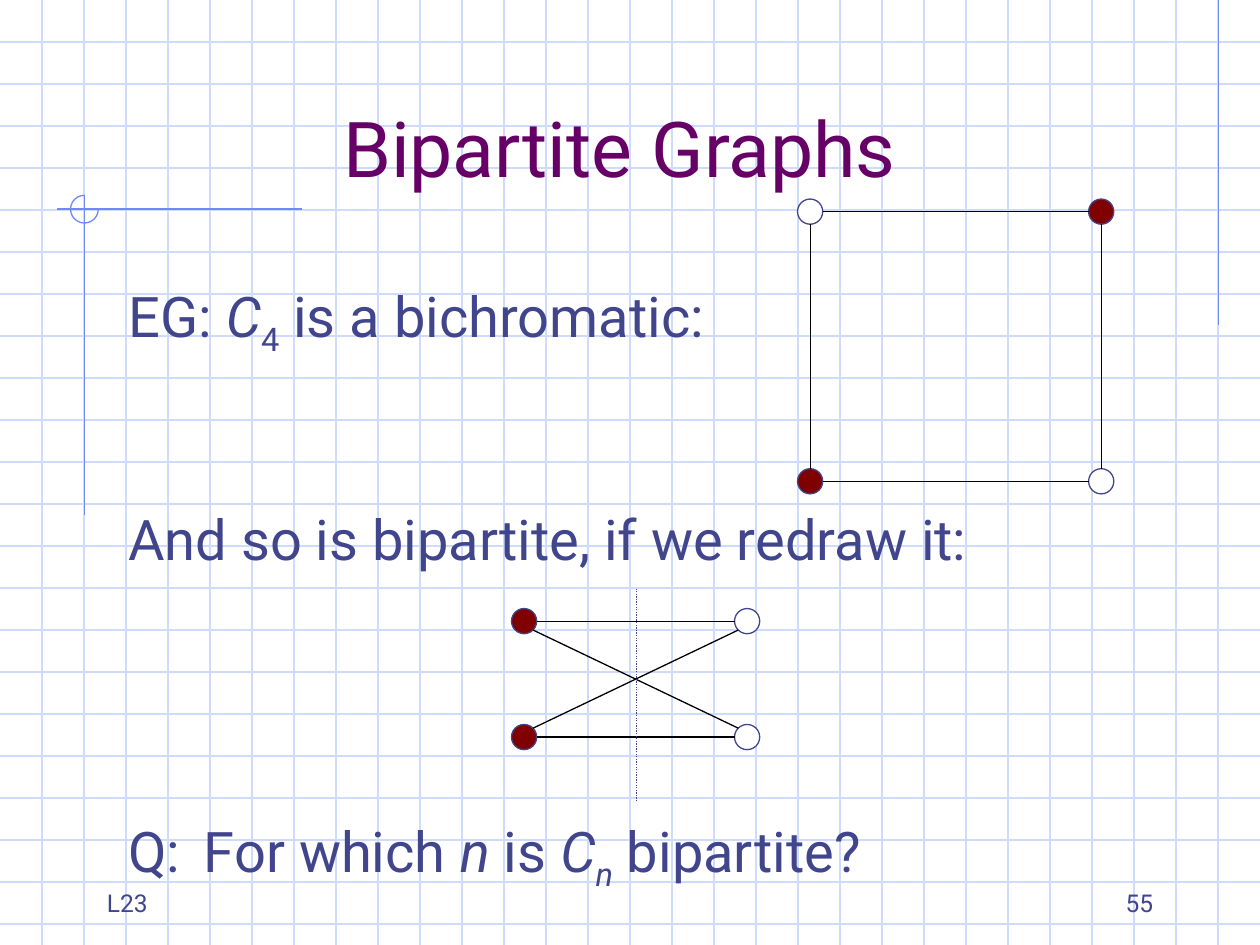
"""Build the "Bipartite Graphs" slide with its two drawings of the four-cycle."""
from dataclasses import dataclass
from math import hypot
from typing import NamedTuple, Optional

from lxml.etree import SubElement
from pptx import Presentation
from pptx.dml.color import RGBColor
from pptx.enum.dml import MSO_LINE
from pptx.enum.shapes import MSO_CONNECTOR as Conn, MSO_SHAPE as Shape
from pptx.enum.text import MSO_ANCHOR as Anchor, PP_ALIGN as Align
from pptx.oxml.ns import qn
from pptx.util import Inches, Pt


@dataclass(frozen=True)
class Theme:
    font: str = "Roboto"
    title: str = "660066"
    ink: str = "40458C"
    grid: str = "CFDBFD"
    accent: str = "6F89F7"
    edge: str = "000000"
    red: str = "800000"
    white: str = "FFFFFF"
    title_size: float = 44
    body_size: float = 32
    footer_size: float = 14
    line_width: float = 0.75


class Point(NamedTuple):
    x: float
    y: float


class Node(NamedTuple):
    center: Point
    color: str


class Box(NamedTuple):
    left: float
    top: float
    width: float
    height: float


class Span(NamedTuple):
    text: str
    italic: bool = False
    subscript: bool = False


@dataclass(frozen=True)
class Para:
    spans: list[Span]
    before: float = 0
    tab: Optional[float] = None


@dataclass(frozen=True)
class TextStyle:
    size: float
    color: str
    align: Align = Align.LEFT
    anchor: Anchor = Anchor.BOTTOM
    inset_top: float = 0.05
    spacing: float = 1.0


THEME = Theme()
WIDTH, HEIGHT = 10, 7.5
GRID_STEP = 1 / 3
RADIUS = 0.1

TITLE = TextStyle(THEME.title_size, THEME.title, Align.CENTER)
BODY = TextStyle(THEME.body_size, THEME.ink, anchor=Anchor.TOP, inset_top=0.16, spacing=0.9)
FOOTER = TextStyle(THEME.footer_size, THEME.ink)
PAGE = TextStyle(THEME.footer_size, THEME.ink, Align.RIGHT)

BODY_PARAS = [
    Para([Span("EG: "), Span("C", True), Span("4", subscript=True), Span(" is a bichromatic:")]),
    Para([Span("And so is bipartite, if we redraw it:")], before=92),
    Para([Span("Q:\tFor which "), Span("n ", True), Span("is "), Span("C", True),
          Span("n", True, True), Span(" bipartite?")], before=140, tab=0.6),
]

SQUARE = [
    Node(Point(6.43, 1.68), THEME.white),
    Node(Point(8.74, 1.68), THEME.red),
    Node(Point(8.74, 3.82), THEME.white),
    Node(Point(6.43, 3.82), THEME.red),
]
CROSSED = [
    Node(Point(4.16, 4.93), THEME.red),
    Node(Point(5.93, 4.93), THEME.white),
    Node(Point(4.16, 5.85), THEME.red),
    Node(Point(5.93, 5.85), THEME.white),
]


def add_line(s, start: Point, end: Point, color: str, dash: Optional[MSO_LINE] = None) -> None:
    """Draw a thin straight line without a shadow."""
    line = s.shapes.add_connector(Conn.STRAIGHT, *map(Inches, (*start, *end)))
    line.line.color.rgb = RGBColor.from_string(color)
    line.line.width = Pt(THEME.line_width)
    if dash is not None:
        line.line.dash_style = dash
    SubElement(line._element.spPr, qn("a:effectLst"))


def add_outlined(s, kind: Shape, center: Point, radius: float, color: str, fill: Optional[str] = None):
    """Draw a round outlined shape about a centre."""
    size = 2 * radius
    sp = s.shapes.add_shape(
        kind, *map(Inches, (center.x - radius, center.y - radius, size, size)))
    sp.shadow.inherit = False
    if fill:
        sp.fill.solid()
        sp.fill.fore_color.rgb = RGBColor.from_string(fill)
    else:
        sp.fill.background()
    sp.line.color.rgb = RGBColor.from_string(color)
    sp.line.width = Pt(THEME.line_width)
    return sp


def sign(value: float) -> int:
    """Return -1, 0 or 1."""
    return (value > 0) - (value < 0)


def add_edge(s, a: Point, b: Point) -> None:
    """Join two nodes at the connection sites that face each other."""
    dx, dy = sign(b.x - a.x), sign(b.y - a.y)
    reach = RADIUS / hypot(dx, dy)
    start = Point(a.x + dx * reach, a.y + dy * reach)
    end = Point(b.x - dx * reach, b.y - dy * reach)
    add_line(s, start, end, THEME.edge)


def add_cycle(s, nodes: list[Node]) -> None:
    """Draw the nodes and the closed ring of edges through them."""
    for node in nodes:
        add_outlined(s, Shape.OVAL, node.center, RADIUS, THEME.ink, node.color)
    for a, b in zip(nodes, nodes[1:] + nodes[:1]):
        add_edge(s, a.center, b.center)


def add_text(s, box: Box, paras: list[Para], style: TextStyle) -> None:
    """Add a text box, run by run."""
    tf = s.shapes.add_textbox(*map(Inches, box)).text_frame
    tf.word_wrap = True
    tf.vertical_anchor = style.anchor
    tf.margin_top = Inches(style.inset_top)
    for i, para in enumerate(paras):
        p = tf.add_paragraph() if i else tf.paragraphs[0]
        p.alignment = style.align
        p.line_spacing = style.spacing
        p.space_before = Pt(para.before)
        if para.tab is not None:
            tabs = SubElement(p._p.get_or_add_pPr(), qn("a:tabLst"))
            SubElement(tabs, qn("a:tab"), pos=str(Inches(para.tab)), algn="l")
        for span in para.spans:
            r = p.add_run()
            r.text = span.text
            r.font.name = THEME.font
            r.font.size = Pt(style.size)
            r.font.italic = span.italic
            r.font.color.rgb = RGBColor.from_string(style.color)
            if span.subscript:
                r._r.get_or_add_rPr().set("baseline", "-25000")


def add_backdrop(s) -> None:
    """Draw the squared paper and its accent lines."""
    for i in range(1, 23):
        add_line(s, Point(0, i * GRID_STEP), Point(WIDTH, i * GRID_STEP), THEME.grid)
    for i in range(1, 30):
        add_line(s, Point(i * GRID_STEP, 0), Point(i * GRID_STEP, HEIGHT), THEME.grid)
    add_line(s, Point(9.67, 0), Point(9.67, 2.58), THEME.accent)
    add_line(s, Point(2.4, 1.66), Point(0.45, 1.66), THEME.accent)
    add_line(s, Point(0.67, 1.55), Point(0.67, 4.09), THEME.accent)
    arc = add_outlined(s, Shape.ARC, Point(0.67, 1.66), 0.11, THEME.accent)
    arc.adjustments[0], arc.adjustments[1] = 0, 162


def main() -> None:
    """Build and save the slide."""
    prs = Presentation()
    prs.slide_width, prs.slide_height = Inches(WIDTH), Inches(HEIGHT)
    s = prs.slides.add_slide(prs.slide_layouts[6])
    add_backdrop(s)
    add_text(s, Box(0.67, 0.33, 8.5, 1.25), [Para([Span("Bipartite Graphs")])], TITLE)
    add_text(s, Box(0.92, 2.08, 8.5, 5.08), BODY_PARAS, BODY)
    add_cycle(s, SQUARE)
    add_cycle(s, CROSSED)
    add_line(s, Point(5.05, 6.36), Point(5.05, 4.67), THEME.ink, MSO_LINE.ROUND_DOT)
    add_text(s, Box(7.17, 6.83, 2.08, 0.5), [Para([Span("55")])], PAGE)
    add_text(s, Box(0.75, 6.83, 2.08, 0.5), [Para([Span("L23")])], FOOTER)
    prs.save("out.pptx")


if __name__ == "__main__":
    main()
